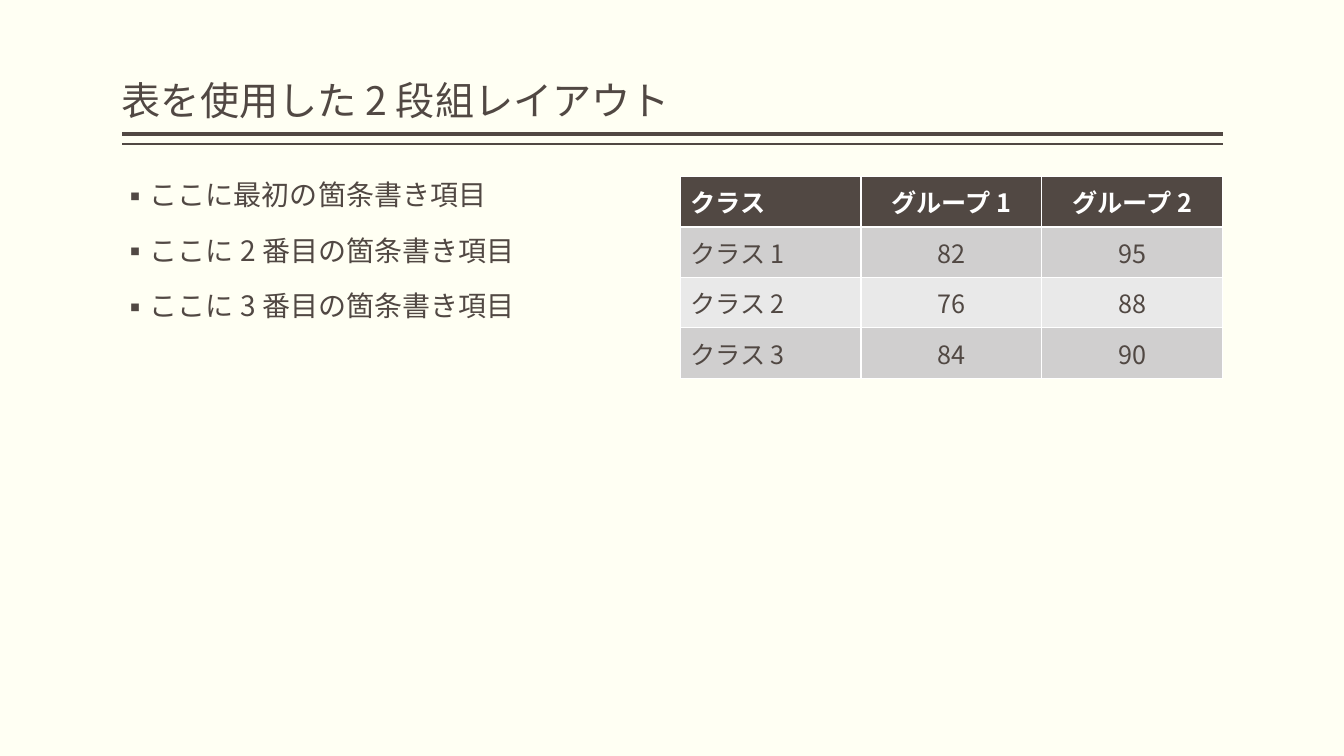
"""Build a two-column slide with a bullet list and a table of class scores."""
from lxml import etree
from pptx import Presentation
from pptx import util as u
from pptx.dml.color import RGBColor
from pptx.enum import shapes, text
from pptx.oxml.ns import qn

FONT = "Noto Sans CJK JP"
BROWN, WHITE, CREAM = "514843", "FFFFFF", "FFFFF3"
LEFT, RIGHT = 3.07, 30.81
COLUMN_TOP, COLUMN_WIDTH, TABLE_LEFT = 4.45, 13.67, 17.14
BULLETS = ["ここに最初の箇条書き項目", "ここに 2 番目の箇条書き項目", "ここに 3 番目の箇条書き項目"]
SCORES = [
    ["クラス", "グループ 1", "グループ 2"],
    ["クラス 1", "82", "95"],
    ["クラス 2", "76", "88"],
    ["クラス 3", "84", "90"],
]


def color(value):
    return RGBColor.from_string(value)


def write(para, words, size, shade=BROWN, bold=False, **formats):
    span = para.add_run()
    span.text = words
    for name, value in {"size": u.Pt(size), "bold": bold, "name": FONT}.items():
        setattr(span.font, name, value)
    span.font.color.rgb = color(shade)
    etree.SubElement(span.font._element, qn("a:ea"), typeface=FONT)
    for name, value in formats.items():
        setattr(para, name, value)


deck = Presentation()
deck.slide_width, deck.slide_height = u.Cm(33.87), u.Cm(19.05)
page = deck.slides.add_slide(deck.slide_layouts[5])
page.background.fill.solid()
page.background.fill.fore_color.rgb = color(CREAM)

for height, weight in [(3.38, 3), (3.63, 1)]:
    rule = page.shapes.add_connector(
        shapes.MSO_CONNECTOR.STRAIGHT, u.Cm(RIGHT), u.Cm(height), u.Cm(LEFT), u.Cm(height))
    rule.line.color.rgb = color(BROWN)
    rule.line.width = u.Pt(weight)
    etree.SubElement(rule._element.spPr, qn("a:effectLst"))

title = page.shapes.title
title.left, title.top = u.Cm(LEFT), u.Cm(0.2)
title.width, title.height = u.Cm(RIGHT - LEFT), u.Cm(3.05)
body = page.shapes.add_textbox(u.Cm(LEFT), u.Cm(COLUMN_TOP), u.Cm(COLUMN_WIDTH), u.Cm(12.7))
for box, anchor in [(title, text.MSO_ANCHOR.BOTTOM), (body, text.MSO_ANCHOR.TOP)]:
    frame_formats = {
        "margin_left": 0, "margin_right": 0, "margin_top": u.Cm(0.13), "margin_bottom": u.Cm(0.13),
        "word_wrap": True, "vertical_anchor": anchor,
        "auto_size": text.MSO_AUTO_SIZE.TEXT_TO_FIT_SHAPE,
    }
    for name, value in frame_formats.items():
        setattr(box.text_frame, name, value)

write(title.text_frame.paragraphs[0], "表を使用した 2 段組レイアウト", 28,
      alignment=text.PP_ALIGN.LEFT, line_spacing=0.9)

for index, words in enumerate(BULLETS):
    para = body.text_frame.add_paragraph() if index else body.text_frame.paragraphs[0]
    write(para, words, 20, line_spacing=0.9, space_before=u.Pt(18))
    settings = para._p.get_or_add_pPr()
    settings.set("marL", str(u.Cm(0.64)))
    settings.set("indent", str(u.Cm(-0.64)))
    etree.SubElement(settings, qn("a:buFont"), typeface=FONT)
    etree.SubElement(settings, qn("a:buChar"), char="▪")

table = page.shapes.add_table(
    len(SCORES), len(SCORES[0]), u.Cm(TABLE_LEFT), u.Cm(COLUMN_TOP),
    u.Cm(COLUMN_WIDTH), u.Cm(1.27 * len(SCORES))).table
for row, values in enumerate(SCORES):
    header = row == 0
    for column, words in enumerate(values):
        cell = table.cell(row, column)
        cell.vertical_anchor = text.MSO_ANCHOR.MIDDLE
        cell.fill.solid()
        cell.fill.fore_color.rgb = color(BROWN if header else "D0CFCF" if row % 2 else "E9E9E9")
        write(cell.text_frame.paragraphs[0], words, 18, WHITE if header else BROWN, header,
              alignment=text.PP_ALIGN.CENTER if column else text.PP_ALIGN.LEFT)

deck.save("out.pptx")
